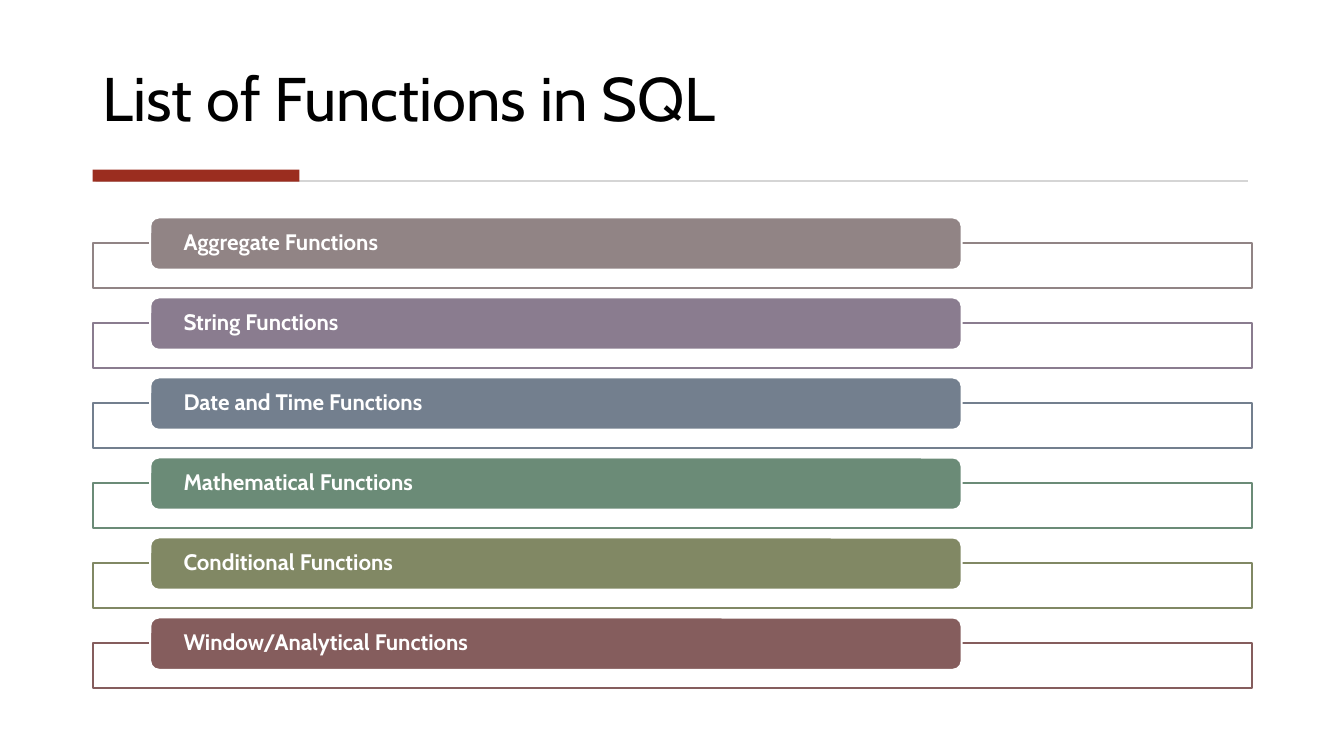
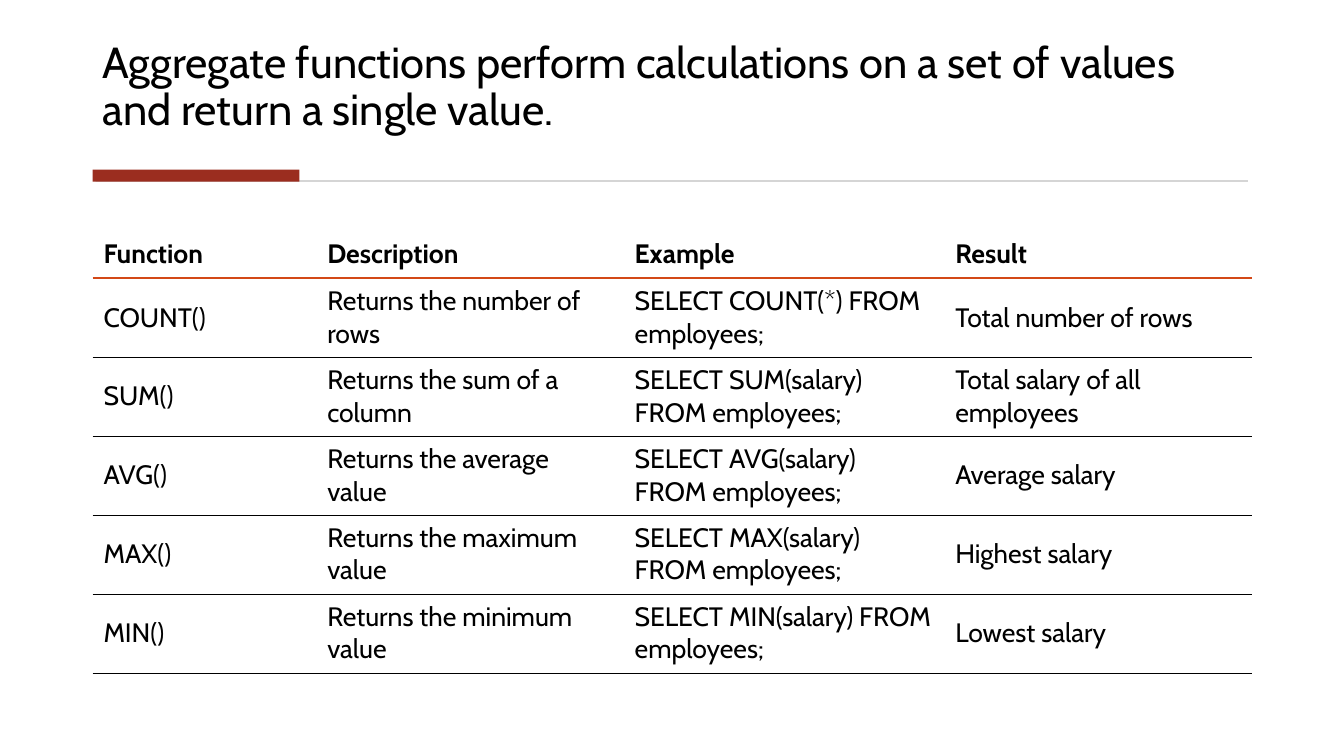
from dataclasses import dataclass

from lxml.etree import SubElement
from pptx import Presentation
from pptx.dml.color import RGBColor
from pptx.enum.shapes import MSO_SHAPE
from pptx.enum.text import MSO_ANCHOR, PP_ALIGN
from pptx.oxml.ns import qn
from pptx.util import Pt


@dataclass(frozen=True)
class Theme:
    font: str = "Cabin"
    ink: str = "000000"
    paper: str = "FFFFFF"
    rule: str = "D5D5D5"
    accent: str = "9B2D1F"
    header: str = "D34817"
    title: int = 44
    lead: int = 31
    label: int = 16
    body: int = 19
    left: float = 66.2
    width: float = 828


THEME = Theme()

TOPICS = [
    ("Aggregate Functions", "918485"),
    ("String Functions", "8A7C8F"),
    ("Date and Time Functions", "737F8E"),
    ("Mathematical Functions", "6B8B77"),
    ("Conditional Functions", "818864"),
    ("Window/Analytical Functions", "855D5D"),
]

ROWS = [
    ("Function", "Description", "Example", "Result"),
    ("COUNT()", "Returns the number of rows",
     "SELECT COUNT(*) FROM employees;", "Total number of rows"),
    ("SUM()", "Returns the sum of a column",
     "SELECT SUM(salary) FROM employees;", "Total salary of all employees"),
    ("AVG()", "Returns the average value",
     "SELECT AVG(salary) FROM employees;", "Average salary"),
    ("MAX()", "Returns the maximum value",
     "SELECT MAX(salary) FROM employees;", "Highest salary"),
    ("MIN()", "Returns the minimum value",
     "SELECT MIN(salary) FROM employees;", "Lowest salary"),
]
WIDTHS = (159.8, 219.6, 229, 219.6)


# Text and shapes
def write(frame, text, size, color=THEME.ink, bold=False, space=1.0):
    frame.word_wrap = True
    line = frame.paragraphs[0]
    line.alignment = PP_ALIGN.LEFT
    line.line_spacing = space
    run = line.add_run()
    run.text = text
    run.font.name = THEME.font
    run.font.size = Pt(size)
    run.font.bold = bold
    run.font.color.rgb = RGBColor.from_string(color)


def box(slide, kind, area, fill, line=None):
    shape = slide.shapes.add_shape(kind, *map(Pt, area))
    shape.shadow.inherit = False
    shape.fill.solid()
    shape.fill.fore_color.rgb = RGBColor.from_string(fill)
    if line:
        shape.line.color.rgb = RGBColor.from_string(line)
        shape.line.width = Pt(1.5)
    else:
        shape.line.fill.background()
    return shape


# Title with the rule and accent band below it
def start(deck, title, size):
    slide = deck.slides.add_slide(deck.slide_layouts[6])
    area = (THEME.left, 20.2, THEME.width, 79.9)
    frame = slide.shapes.add_textbox(*map(Pt, area)).text_frame
    frame.vertical_anchor = MSO_ANCHOR.BOTTOM
    write(frame, title, size, space=0.9)
    box(slide, MSO_SHAPE.RECTANGLE, (68.4, 128.6, 823, 1.4), THEME.rule)
    box(slide, MSO_SHAPE.RECTANGLE, (THEME.left, 121.2, 147.6, 8.6), THEME.accent)
    return slide


# One open frame with a filled label across its top edge
def topic(slide, top, text, color):
    box(slide, MSO_SHAPE.RECTANGLE, (THEME.left, top + 18, THEME.width, 32.2),
        THEME.paper, color)
    bar = box(slide, MSO_SHAPE.ROUNDED_RECTANGLE, (107.3, top, 579.6, 37.4),
              color, THEME.paper)
    frame = bar.text_frame
    frame.margin_left = frame.margin_right = Pt(22)
    frame.margin_top = frame.margin_bottom = 0
    frame.vertical_anchor = MSO_ANCHOR.MIDDLE
    write(frame, text, THEME.label, THEME.paper, True, 0.9)


# Table cells with horizontal rules only
def border(cell, side, color=None, width=0.0):
    line = SubElement(cell._tc.get_or_add_tcPr(), qn("a:ln" + side))
    line.set("w", str(int(Pt(width))))
    if color:
        fill = SubElement(line, qn("a:solidFill"))
        SubElement(fill, qn("a:srgbClr")).set("val", color)
    else:
        SubElement(line, qn("a:noFill"))


def fill_cell(cell, text, row):
    head = (THEME.header, 1.5)
    thin = (THEME.ink, 0.25)
    above = {0: (), 1: head}.get(row, thin)
    below = head if row == 0 else thin
    for side, look in (("L", ()), ("R", ()), ("T", above), ("B", below)):
        border(cell, side, *look)
    cell.fill.background()
    cell.vertical_anchor = MSO_ANCHOR.MIDDLE
    cell.margin_left = cell.margin_right = Pt(7.8)
    cell.margin_top = cell.margin_bottom = Pt(3.6)
    write(cell.text_frame, text, THEME.body, bold=row == 0)


def grid(slide, rows, widths):
    heights = [33.8] + [56.4] * (len(rows) - 1)
    area = (THEME.left, 164.9, sum(widths), sum(heights))
    table = slide.shapes.add_table(len(rows), len(widths), *map(Pt, area)).table
    table.first_row = True
    table.horz_banding = False
    for column, width in zip(table.columns, widths):
        column.width = Pt(width)
    for r, (texts, height) in enumerate(zip(rows, heights)):
        table.rows[r].height = Pt(height)
        for c, text in enumerate(texts):
            fill_cell(table.cell(r, c), text, r)


def main():
    deck = Presentation()
    deck.slide_width, deck.slide_height = Pt(960), Pt(540)

    # Function groups
    slide = start(deck, "List of Functions in SQL", THEME.title)
    for i, (text, color) in enumerate(TOPICS):
        topic(slide, 155.3 + 57.15 * i, text, color)

    # Aggregate functions
    slide = start(deck, "Aggregate functions perform calculations on a set of "
                  "values and return a single value.", THEME.lead)
    grid(slide, ROWS, WIDTHS)

    deck.save("out.pptx")


if __name__ == "__main__":
    main()
